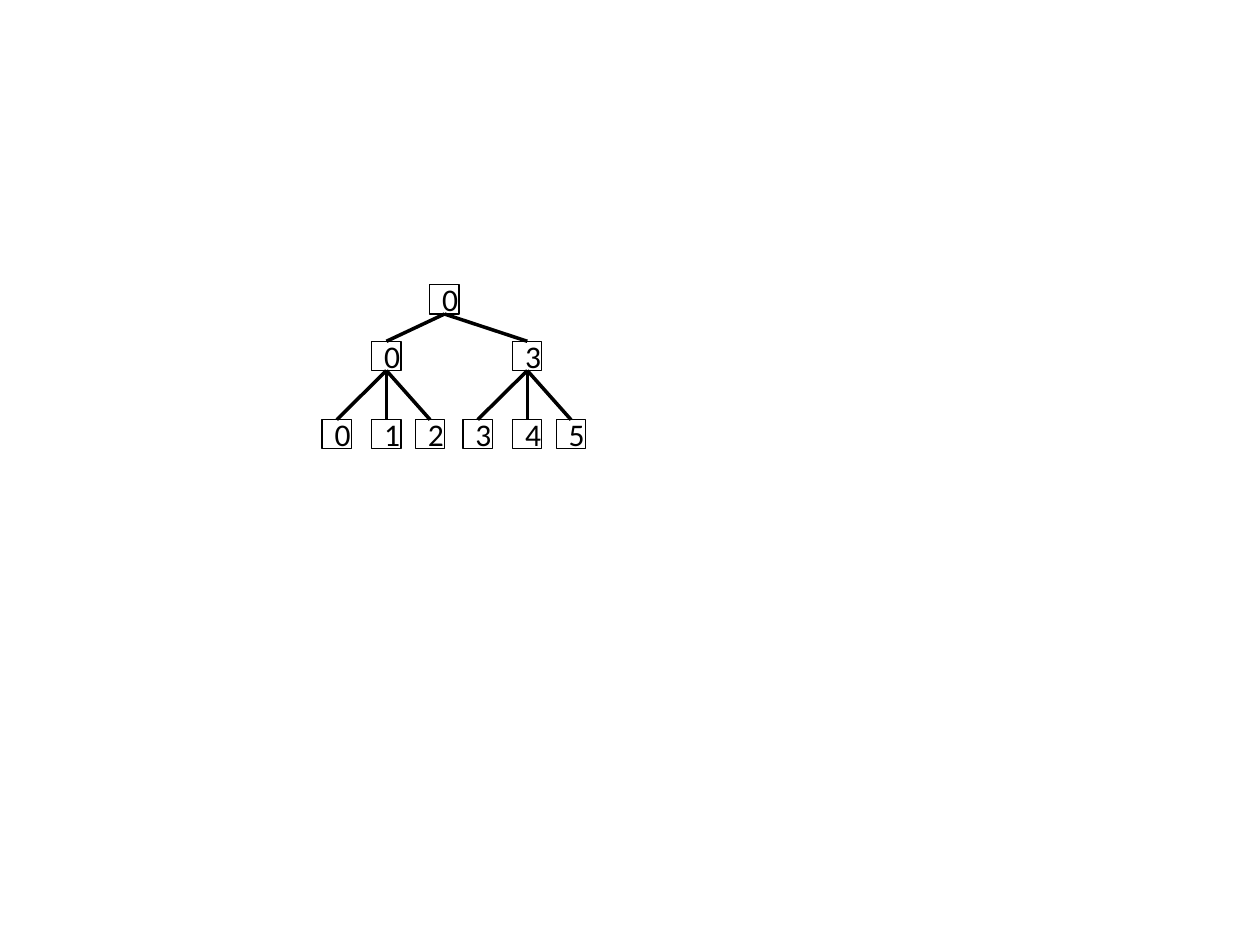
import dataclasses

import pptx
import pptx.dml.color
import pptx.enum.shapes
import pptx.enum.text
import pptx.oxml
import pptx.oxml.ns
import pptx.util

Cm = pptx.util.Cm


@dataclasses.dataclass(frozen=True)
class Theme:
    ink: pptx.dml.color.RGBColor = pptx.dml.color.RGBColor(0, 0, 0)
    font: str = "Calibri"
    text_size: float = 18
    box_line: float = 0.75
    branch_line: float = 2


NODE_SIZE = 0.59
ROOT_CENTER, ROOT_TOP = 8.96, 5.74
PARENT_TOP, LEAF_TOP = 6.88, 8.46
LEAF_OFFSETS = (-1, 0, 0.88)
PARENTS = (("0", 7.79, "012"), ("3", 10.63, "345"))
BOTTOM_SITE, TOP_SITE = 2, 0


class TreeSlide:
    def __init__(self, slide, theme):
        self.theme = theme
        self.shapes = slide.shapes.add_group_shape().shapes

    def add_node(self, label, center, top):
        node = self.shapes.add_shape(
            pptx.enum.shapes.MSO_SHAPE.RECTANGLE,
            Cm(center - NODE_SIZE / 2), Cm(top), Cm(NODE_SIZE), Cm(NODE_SIZE))
        node.shadow.inherit = False
        node.fill.background()
        self.style_line(node.line, self.theme.box_line)
        frame = node.text_frame
        frame.text = label
        frame.vertical_anchor = pptx.enum.text.MSO_ANCHOR.MIDDLE
        paragraph = frame.paragraphs[0]
        paragraph.alignment = pptx.enum.text.PP_ALIGN.CENTER
        font = paragraph.runs[0].font
        font.name = self.theme.font
        font.size = pptx.util.Pt(self.theme.text_size)
        font.color.rgb = self.theme.ink
        return node

    def add_branch(self, parent, child):
        """Join the bottom of the parent to the top of the child."""
        branch = self.shapes.add_connector(
            pptx.enum.shapes.MSO_CONNECTOR.STRAIGHT,
            parent.left + parent.width // 2, parent.top + parent.height,
            child.left + child.width // 2, child.top)
        branch.begin_connect(parent, BOTTOM_SITE)
        branch.end_connect(child, TOP_SITE)
        self.style_line(branch.line, self.theme.branch_line)
        properties = branch.element.find(pptx.oxml.ns.qn("p:spPr"))
        properties.append(pptx.oxml.parse_xml(
            f"<a:effectLst {pptx.oxml.ns.nsdecls('a')}/>"))

    def style_line(self, line, width):
        line.color.rgb = self.theme.ink
        line.width = pptx.util.Pt(width)


def main():
    presentation = pptx.Presentation()
    presentation.slide_width = Cm(25.4)
    presentation.slide_height = Cm(19.05)
    blank_layout = presentation.slide_layouts[6]
    tree = TreeSlide(presentation.slides.add_slide(blank_layout), Theme())

    root = tree.add_node("0", ROOT_CENTER, ROOT_TOP)
    for label, center, leaf_labels in PARENTS:
        parent = tree.add_node(label, center, PARENT_TOP)
        tree.add_branch(root, parent)
        for leaf_label, offset in zip(leaf_labels, LEAF_OFFSETS):
            leaf = tree.add_node(leaf_label, center + offset, LEAF_TOP)
            tree.add_branch(parent, leaf)

    presentation.save("out.pptx")


if __name__ == "__main__":
    main()
